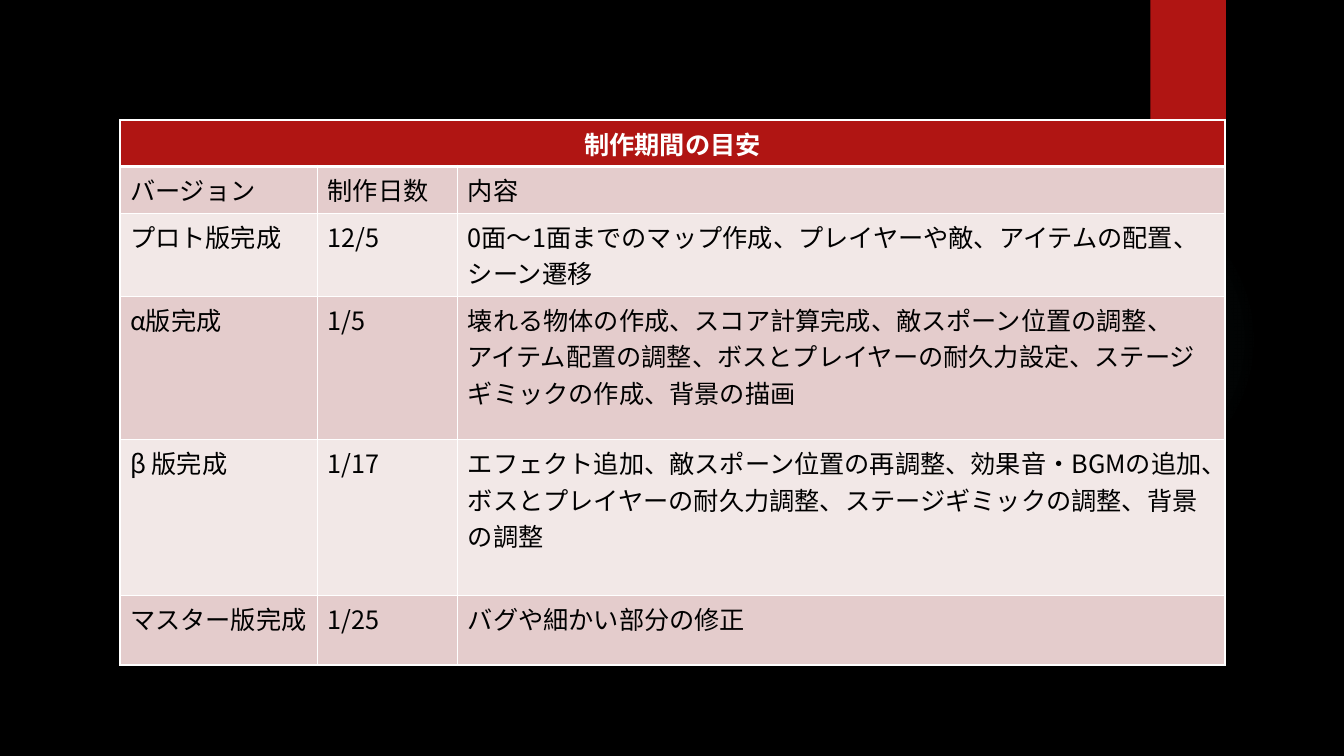
import dataclasses

import pptx
import pptx.dml.color
import pptx.enum.shapes
import pptx.enum.text
import pptx.oxml
import pptx.oxml.ns
import pptx.shapes.autoshape
import pptx.slide
import pptx.table
import pptx.util

Inches = pptx.util.Inches
SHAPE = pptx.enum.shapes.MSO_SHAPE
NAMESPACE = pptx.oxml.ns.nsdecls("a")
FONT = "Noto Sans CJK JP"
COLORS = {
    "background": "000000",
    "accent": "B01513",
    "glow": "50B9C1",
    "dark_band": "E4CCCC",
    "light_band": "F2E8E7",
    "text": "000000",
    "white": "FFFFFF",
}
COLUMN_WIDTHS = (1.96, 1.39, 7.61)
TITLE = "制作期間の目安"
TITLE_HEIGHT = 0.46


@dataclasses.dataclass
class Decoration:
    kind: int
    left: float
    top: float
    width: float
    height: float


@dataclasses.dataclass
class Milestone:
    version: str
    date: str
    content: str
    height: float


GLOW = Decoration(SHAPE.OVAL, 9.41, 1.83, 3.08, 3.08)
RIBBON = Decoration(SHAPE.RECTANGLE, 11.41, 0, 0.75, 1.25)
MILESTONES = (
    Milestone("バージョン", "制作日数", "内容", 0.46),
    Milestone(
        "プロト版完成", "12/5",
        "0面～1面までのマップ作成、プレイヤーや敵、アイテムの配置、シーン遷移", 0.82,
    ),
    Milestone(
        "α版完成", "1/5",
        "壊れる物体の作成、スコア計算完成、敵スポーン位置の調整、\n"
        "アイテム配置の調整、ボスとプレイヤーの耐久力設定、ステージギミックの作成、背景の描画", 1.42,
    ),
    Milestone(
        "β 版完成", "1/17",
        "エフェクト追加、敵スポーン位置の再調整、効果音・BGMの追加、\n"
        "ボスとプレイヤーの耐久力調整、ステージギミックの調整、背景の調整", 1.55,
    ),
    Milestone("マスター版完成", "1/25", "バグや細かい部分の修正", 0.69),
)


def rgb(name: str) -> pptx.dml.color.RGBColor:
    return pptx.dml.color.RGBColor.from_string(COLORS[name])


def draw_decoration(page: pptx.slide.Slide, item: Decoration) -> pptx.shapes.autoshape.Shape:
    lengths = (Inches(value) for value in (item.left, item.top, item.width, item.height))
    shape = page.shapes.add_shape(item.kind, *lengths)
    shape.line.fill.background()
    shape.shadow.inherit = False
    return shape


def draw_glow(page: pptx.slide.Slide) -> None:
    properties = draw_decoration(page, GLOW)._element.spPr
    stops = "".join(
        f'<a:gs pos="{position * 1000}"><a:srgbClr val="{COLORS["glow"]}">'
        f'<a:alpha val="{opacity * 1000}"/></a:srgbClr></a:gs>'
        for position, opacity in ((0, 7), (36, 6), (69, 0))
    )
    gradient = pptx.oxml.parse_xml(
        f'<a:gradFill {NAMESPACE}><a:gsLst>{stops}</a:gsLst><a:path path="circle">'
        '<a:fillToRect l="50000" t="50000" r="50000" b="50000"/></a:path></a:gradFill>'
    )
    properties.insert(2, gradient)


def draw_ribbon(page: pptx.slide.Slide) -> None:
    ribbon = draw_decoration(page, RIBBON)
    ribbon.fill.solid()
    ribbon.fill.fore_color.rgb = rgb("accent")
    effects = ribbon._element.spPr.find(pptx.oxml.ns.qn("a:effectLst"))
    effects.append(pptx.oxml.parse_xml(
        f'<a:outerShdw {NAMESPACE} blurRad="38100" dist="25400" dir="5400000">'
        '<a:srgbClr val="000000"><a:alpha val="45000"/></a:srgbClr></a:outerShdw>'
    ))


def set_borders(cell: pptx.table._Cell, top: int, bottom: int) -> None:
    properties = cell._tc.get_or_add_tcPr()
    widths = {"L": 1, "R": 1, "T": top, "B": bottom}
    for index, (side, width) in enumerate(widths.items()):
        properties.insert(index, pptx.oxml.parse_xml(
            f'<a:ln{side} {NAMESPACE} w="{pptx.util.Pt(width)}"><a:solidFill>'
            f'<a:srgbClr val="{COLORS["white"]}"/></a:solidFill></a:ln{side}>'
        ))


def fill_cell(cell: pptx.table._Cell, text: str, fill: str, color: str, bold: bool) -> None:
    cell.text = text
    cell.fill.solid()
    cell.fill.fore_color.rgb = rgb(fill)
    font_format = {"name": FONT, "size": pptx.util.Pt(18), "bold": bold}
    for para in cell.text_frame.paragraphs:
        for span in para.runs:
            for attribute, value in font_format.items():
                setattr(span.font, attribute, value)
            span.font.color.rgb = rgb(color)
            east_asian = pptx.oxml.parse_xml(f'<a:ea {NAMESPACE} typeface="{FONT}"/>')
            span._r.get_or_add_rPr().append(east_asian)


def draw_schedule(page: pptx.slide.Slide) -> None:
    heights = [TITLE_HEIGHT] + [milestone.height for milestone in MILESTONES]
    schedule = page.shapes.add_table(
        len(heights), len(COLUMN_WIDTHS), Inches(1.19), Inches(1.19),
        Inches(sum(COLUMN_WIDTHS)), Inches(sum(heights)),
    ).table
    for column, width in zip(schedule.columns, COLUMN_WIDTHS):
        column.width = Inches(width)
    for row, height in zip(schedule.rows, heights):
        row.height = Inches(height)

    title = schedule.cell(0, 0)
    title.merge(schedule.cell(0, len(COLUMN_WIDTHS) - 1))
    fill_cell(title, TITLE, "accent", "white", True)
    title.text_frame.paragraphs[0].alignment = pptx.enum.text.PP_ALIGN.CENTER
    for cell in schedule.rows[0].cells:
        set_borders(cell, 1, 3)

    for index, milestone in enumerate(MILESTONES, start=1):
        band = "dark_band" if index % 2 else "light_band"
        texts = (milestone.version, milestone.date, milestone.content)
        for cell, text in zip(schedule.rows[index].cells, texts):
            fill_cell(cell, text, band, "text", False)
            set_borders(cell, 3 if index == 1 else 1, 1)


def main() -> None:
    deck = pptx.Presentation()
    slide_format = {"slide_width": Inches(13.33), "slide_height": Inches(7.5)}
    for attribute, value in slide_format.items():
        setattr(deck, attribute, value)
    page = deck.slides.add_slide(deck.slide_layouts[6])
    page.background.fill.solid()
    page.background.fill.fore_color.rgb = rgb("background")
    draw_glow(page)
    draw_ribbon(page)
    draw_schedule(page)
    deck.save("out.pptx")


if __name__ == "__main__":
    main()
